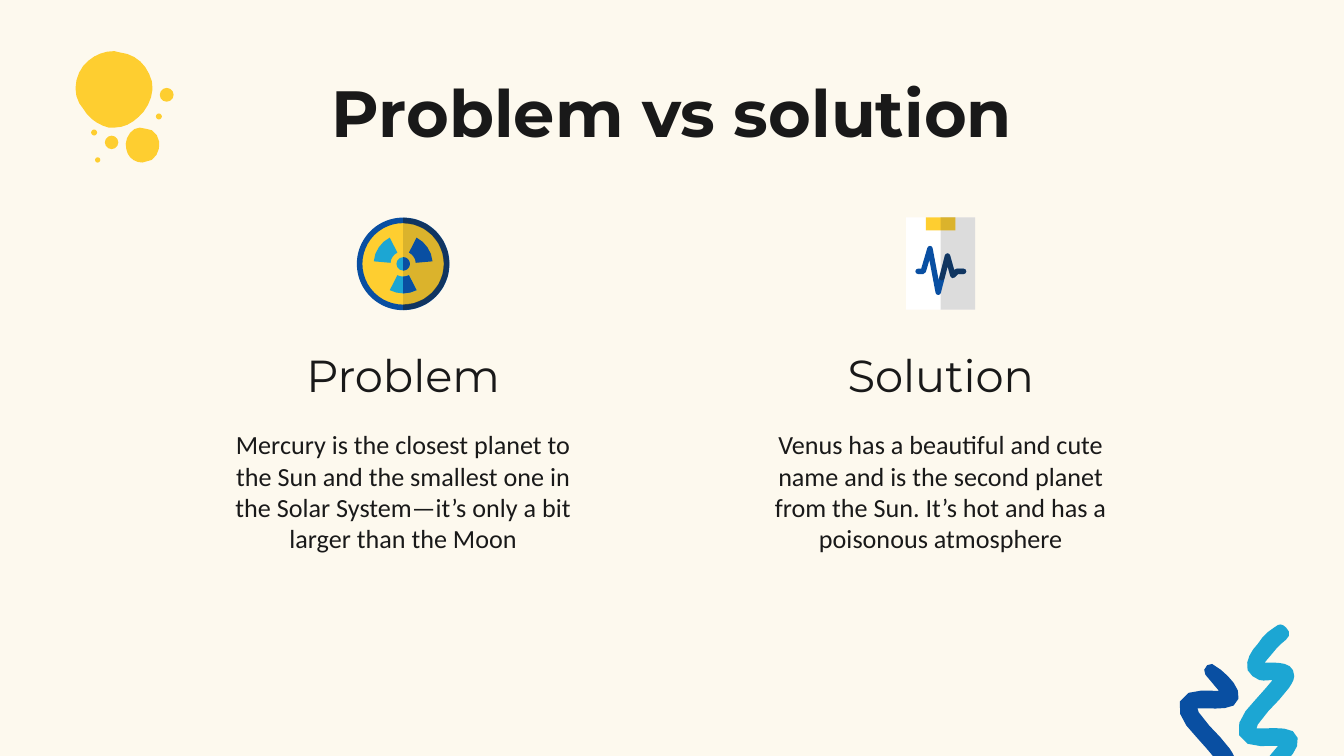
from math import cos, radians, sin

from lxml.etree import SubElement
from pptx import Presentation
from pptx.dml.color import RGBColor
from pptx.enum.shapes import MSO_SHAPE
from pptx.enum.text import MSO_ANCHOR, PP_ALIGN
from pptx.oxml.ns import qn
from pptx.util import Pt

CREAM = RGBColor(0xFD, 0xF9, 0xEE)
INK = RGBColor(0x19, 0x19, 0x19)
WHITE = RGBColor(0xFF, 0xFF, 0xFF)
YELLOW = RGBColor(0xFE, 0xCE, 0x30)
BLUE = RGBColor(0x09, 0x4F, 0xA2)
CYAN = RGBColor(0x1C, 0xA6, 0xD3)
SHADE, DEEP_SHADE = 15, 47

# Outlines: a start point, then line ends (x, y) or curves (x1, y1, x2, y2, x, y)
BIG_BLOB = [
    (61.2, 27.4), (54.7, 27.4, 49, 30.2, 44.6, 35.3),
    (40.3, 41, 38.9, 49, 42.5, 55.4), (44.6, 58.3),
    (47.5, 63.4, 52.6, 67, 58.3, 68.4), (61.2, 68.4),
    (67.7, 68.4, 72.7, 64.8, 77, 59.8), (81.4, 54, 83.5, 46.1, 79.9, 39.6),
    (77, 33.1, 71.3, 28.8, 64.1, 28.1),
]
SMALL_BLOB = [
    (74.9, 68.4), (69.8, 68.4, 66.2, 75.6, 67.7, 79.9),
    (68.4, 84.2, 72, 87.1, 76.3, 87.1), (81.4, 85.7),
    (86.4, 82.1, 87.1, 73.4, 81.4, 69.8), (78.5, 69.1),
]
SQUIGGLE = [
    (681.1, 414), (686.2, 411.1, 689.8, 407.5, 692.6, 403.9),
    (695.5, 400.3, 697, 394.6, 692.6, 391.7),
    (688.3, 389.5, 682.6, 390.2, 678.2, 390.2), (673.2, 390.2), (673.9, 388.1),
    (679, 380.2, 686.2, 375.1, 690.5, 368.6),
    (691.9, 366.5, 693.4, 364.3, 693.4, 362.2),
    (693.4, 358.6, 691.2, 356.4, 688.3, 355.7),
    (685.4, 355, 683.3, 355, 680.4, 355), (677.5, 355), (681.8, 349.9),
    (684, 347, 686.2, 344.9, 689, 342.7),
    (691.2, 341.3, 691.2, 337.7, 689, 336.2),
    (687.6, 334.8, 686.2, 334.1, 684.7, 334.8), (682.6, 336.2),
    (679, 338.4, 676.1, 341.3, 673.9, 344.9),
    (671, 347.8, 668.9, 351.4, 668.2, 355),
    (666.7, 359.3, 671, 362.9, 674.6, 364.3),
    (676.8, 365, 679.7, 364.3, 681.8, 364.3), (678.2, 368.6), (671.8, 375.8),
    (667.4, 380.2, 661.7, 387.4, 663.8, 393.8),
    (666.7, 401, 676.1, 399.6, 681.8, 399.6), (684.7, 399.6), (677.5, 408.2),
    (675.4, 410.4, 678.2, 414.7, 681.1, 414),
]
DOTS = [(85.1, 62.4, 1.6), (59.8, 76.3, 3.6), (50.4, 71, 1.6),
        (52.3, 85.7, 1.4), (89.3, 50.8, 3.7)]
PULSE = [(491.8, 145.4), (494.6, 145.4), (498.2, 133.2), (502.6, 156.6),
         (507.6, 137.2), (510.5, 147.6), (512.6, 145.4), (516.2, 145.4)]
COLUMNS = [
    (216, "Problem", "Mercury is the closest planet to the Sun and the smallest one in "
                     "the Solar System—it’s only a bit larger than the Moon"),
    (504, "Solution", "Venus has a beautiful and cute name and is the second planet from "
                      "the Sun. It’s hot and has a poisonous atmosphere"),
]


def flatten(outline, steps):
    """Turn lines and cubic curves into a list of points."""
    points = [outline[0]]
    for seg in outline[1:]:
        if len(seg) == 2:
            points.append(seg)
            continue
        p0, p1, p2, p3 = points[-1], seg[:2], seg[2:4], seg[4:]
        for i in range(1, steps + 1):
            t = i / steps
            u = 1 - t
            points.append(tuple(
                u**3 * a + 3 * u * u * t * b + 3 * u * t * t * c + t**3 * d
                for a, b, c, d in zip(p0, p1, p2, p3)))
    return points


def arc(cx, cy, r, start, end):
    if r == 0:
        return [(cx, cy)]
    steps = max(2, round(abs(end - start) / 15))
    angles = [radians(start + (end - start) * i / steps) for i in range(steps + 1)]
    return [(cx + r * cos(a), cy + r * sin(a)) for a in angles]


class Deck:
    def __init__(self, width, height):
        self.prs = Presentation()
        self.prs.slide_width, self.prs.slide_height = Pt(width), Pt(height)
        self.s = self.prs.slides.add_slide(self.prs.slide_layouts[6])
        self.s.background.fill.solid()
        self.s.background.fill.fore_color.rgb = CREAM

    def set_alpha(self, sp, alpha):
        if alpha < 100:
            for color in sp._element.spPr.iter(qn("a:srgbClr")):
                SubElement(color, qn("a:alpha"), val=str(alpha * 1000))

    def paint(self, sp, color, alpha=100):
        sp.shadow.inherit = False
        sp.fill.solid()
        sp.fill.fore_color.rgb = color
        sp.line.fill.background()
        self.set_alpha(sp, alpha)

    def freeform(self, points, close=True):
        pts = [(Pt(x), Pt(y)) for x, y in points]
        builder = self.s.shapes.build_freeform(*pts[0], scale=1.0)
        builder.add_line_segments(pts[1:], close=close)
        return builder.convert_to_shape()

    def polygon(self, points, color, alpha=100):
        self.paint(self.freeform(points), color, alpha)

    def sector(self, cx, cy, inner, outer, start, end, color, alpha=100):
        """Draw a slice of a ring, or of a disc when inner is 0."""
        points = arc(cx, cy, outer, start, end) + arc(cx, cy, inner, end, start)
        self.polygon(points, color, alpha)

    def stroke(self, points, width, color, alpha=100):
        sp = self.freeform(points, close=False)
        sp.shadow.inherit = False
        sp.fill.background()
        sp.line.width = Pt(width)
        sp.line.color.rgb = color
        ln = sp._element.spPr.find(qn("a:ln"))
        ln.set("cap", "rnd")
        SubElement(ln, qn("a:round"))
        self.set_alpha(sp, alpha)

    def shape(self, kind, x, y, w, h, color, alpha=100):
        sp = self.s.shapes.add_shape(kind, Pt(x), Pt(y), Pt(w), Pt(h))
        self.paint(sp, color, alpha)
        return sp

    def disc(self, cx, cy, r, color, kind=MSO_SHAPE.OVAL):
        return self.shape(kind, cx - r, cy - r, 2 * r, 2 * r, color)

    def text(self, cx, y, w, h, text, size, font, bold=False, anchor=MSO_ANCHOR.BOTTOM):
        tf = self.s.shapes.add_textbox(Pt(cx - w / 2), Pt(y), Pt(w), Pt(h)).text_frame
        tf.word_wrap = True
        tf.vertical_anchor = anchor
        tf.margin_left = tf.margin_right = tf.margin_top = tf.margin_bottom = Pt(7.2)
        p = tf.paragraphs[0]
        p.alignment = PP_ALIGN.CENTER
        r = p.add_run()
        r.text = text
        r.font.size, r.font.name, r.font.bold = Pt(size), font, bold
        r.font.color.rgb = INK

    def radiation_icon(self, cx, cy):
        self.disc(cx, cy, 23.4, YELLOW)
        self.sector(cx, cy, 0, 23.4, -90, 90, INK, SHADE)
        ring = self.disc(cx, cy, 24.8, BLUE, MSO_SHAPE.DONUT)
        ring.adjustments[0] = 0.06
        self.disc(cx, cy, 3.6, CYAN)
        for start, end, color in [(63, 117, CYAN), (-63, -5, BLUE), (185, 243, CYAN)]:
            self.sector(cx, cy, 6.8, 15.8, start, end, color)
        self.sector(cx, cy, 21.8, 24.8, -90, 90, INK, DEEP_SHADE)
        self.sector(cx, cy, 0, 3.6, -90, 90, BLUE)
        self.sector(cx, cy, 6.8, 15.8, 63, 90, BLUE)

    def clipboard_icon(self, cx, y):
        for w, h, color in [(37, 49.5, WHITE), (15.8, 6.9, YELLOW)]:
            self.shape(MSO_SHAPE.RECTANGLE, cx - w / 2, y, w, h, color)
            self.shape(MSO_SHAPE.RECTANGLE, cx, y, w / 2, h, INK, SHADE)
        self.stroke(PULSE, 2.9, BLUE)
        self.stroke([(504.6, 148.8)] + PULSE[4:], 2.9, INK, DEEP_SHADE)


def main():
    deck = Deck(720, 405)
    for blob in (BIG_BLOB, SMALL_BLOB):
        deck.polygon(flatten(blob, steps=5), YELLOW)
    for cx, cy, r in DOTS:
        deck.disc(cx, cy, r, YELLOW)

    squiggle = flatten(SQUIGGLE, steps=3)
    deck.polygon(squiggle, CYAN)
    deck.polygon([(x - 31.7, 769.7 - y) for x, y in squiggle], BLUE)

    deck.text(360, 42.5, 608, 45.4, "Problem vs solution", 35, "Montserrat", bold=True)
    for cx, heading, body in COLUMNS:
        deck.text(cx, 166.3, 229, 56.2, heading, 24, "Montserrat")
        deck.text(cx, 222.5, 212.4, 129.6, body, 14, "Calibri", anchor=MSO_ANCHOR.TOP)
    deck.clipboard_icon(503.9, 116.5)
    deck.radiation_icon(216, 141.4)
    deck.prs.save("out.pptx")


if __name__ == "__main__":
    main()
